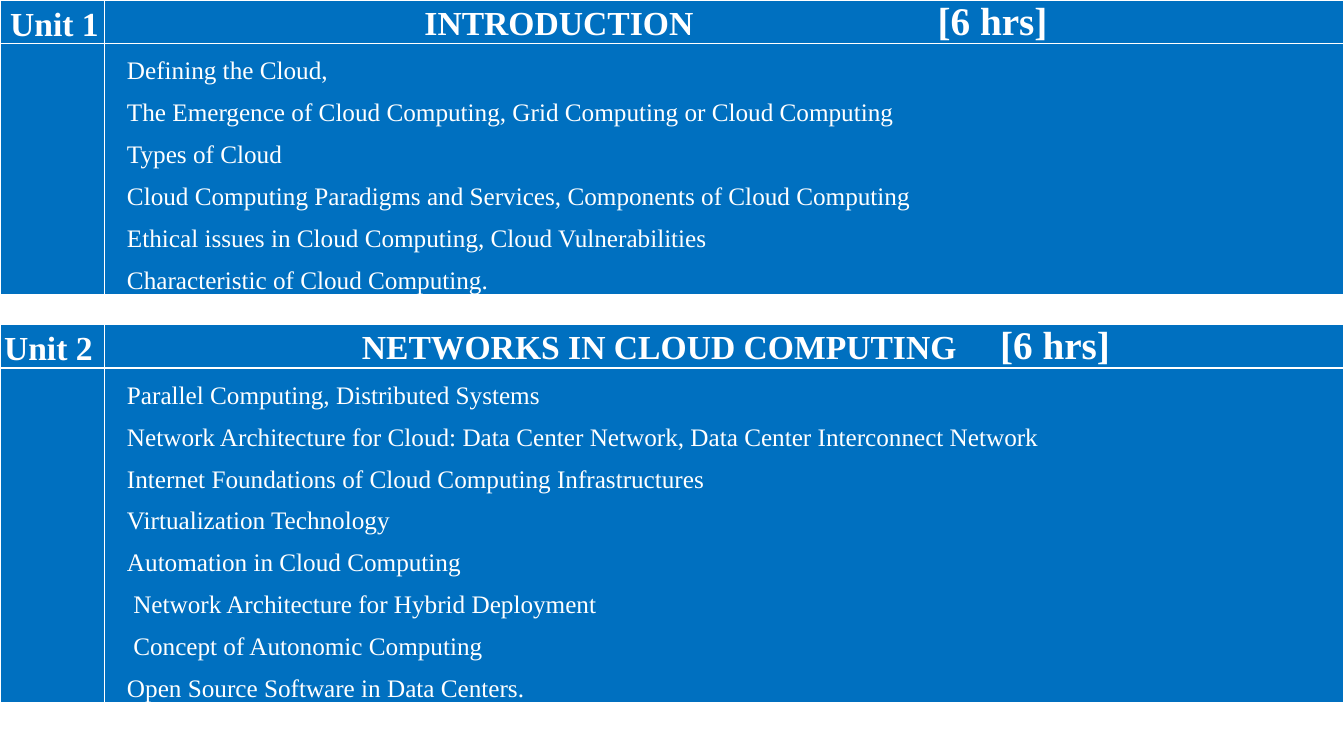
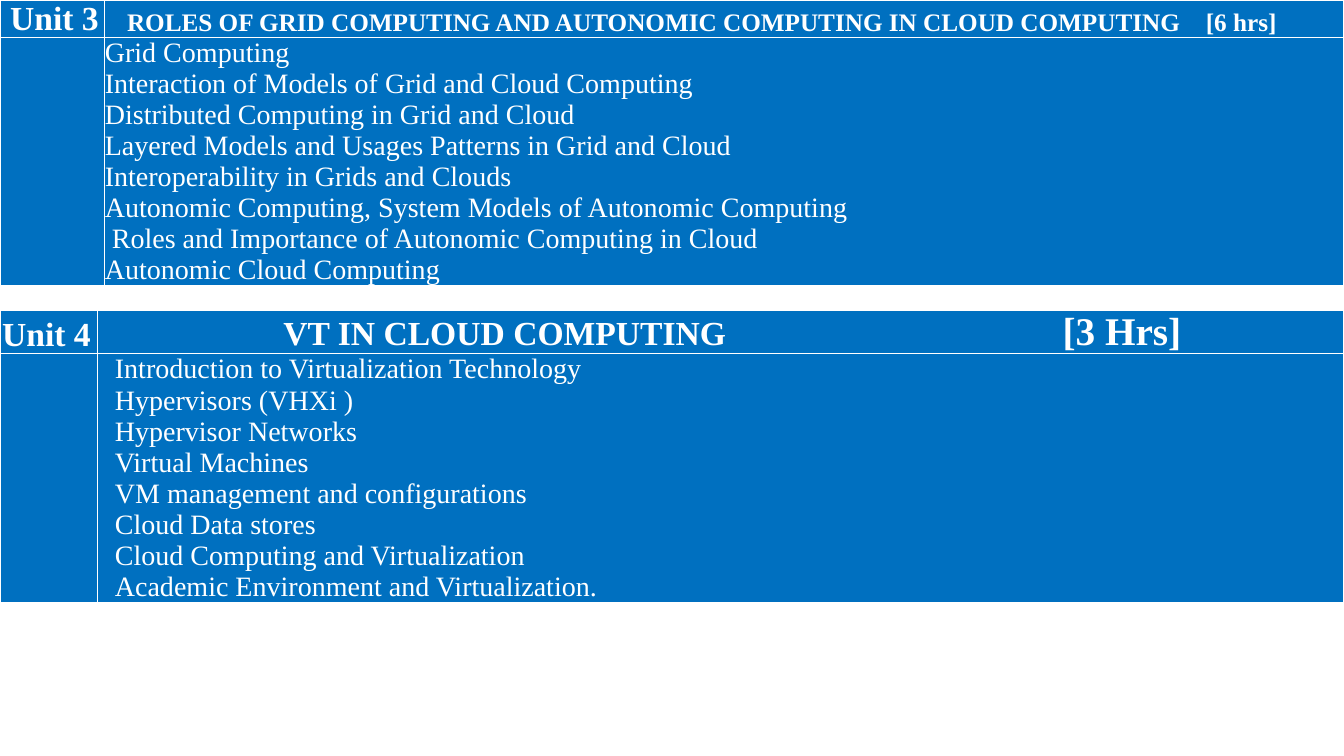
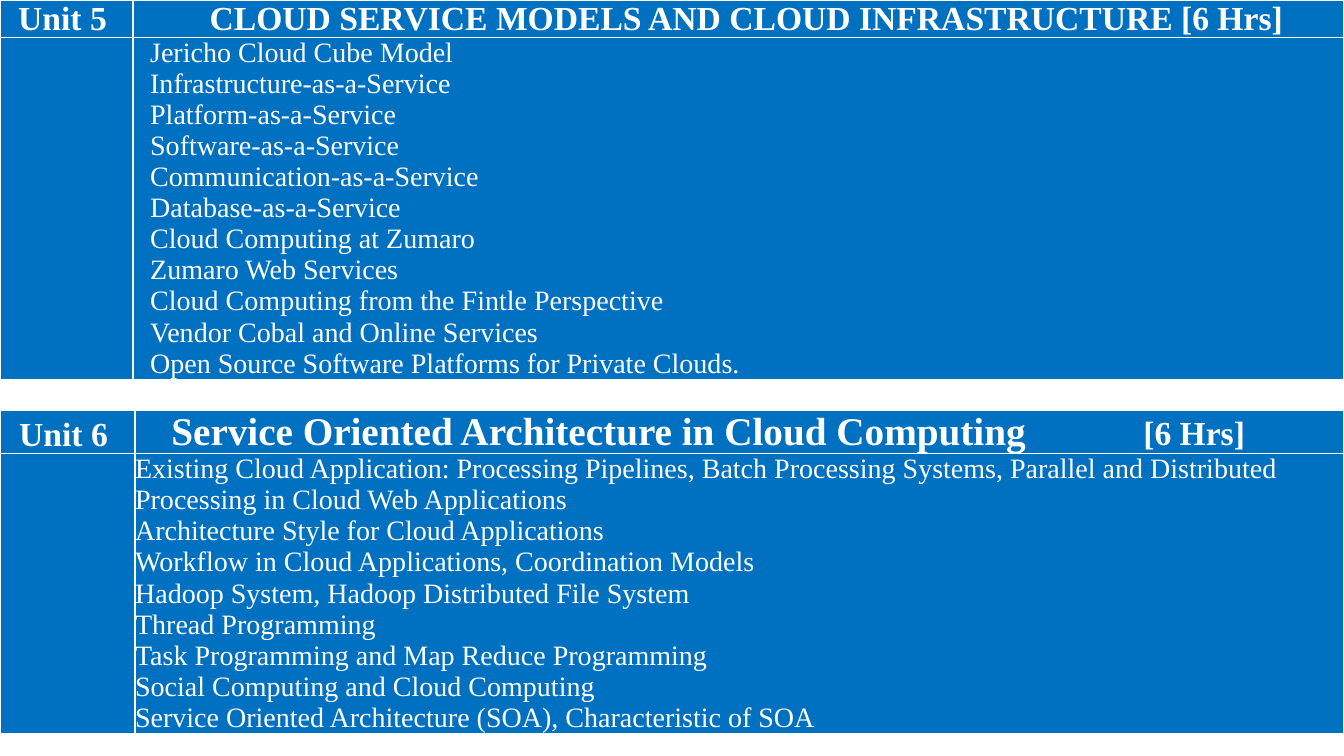
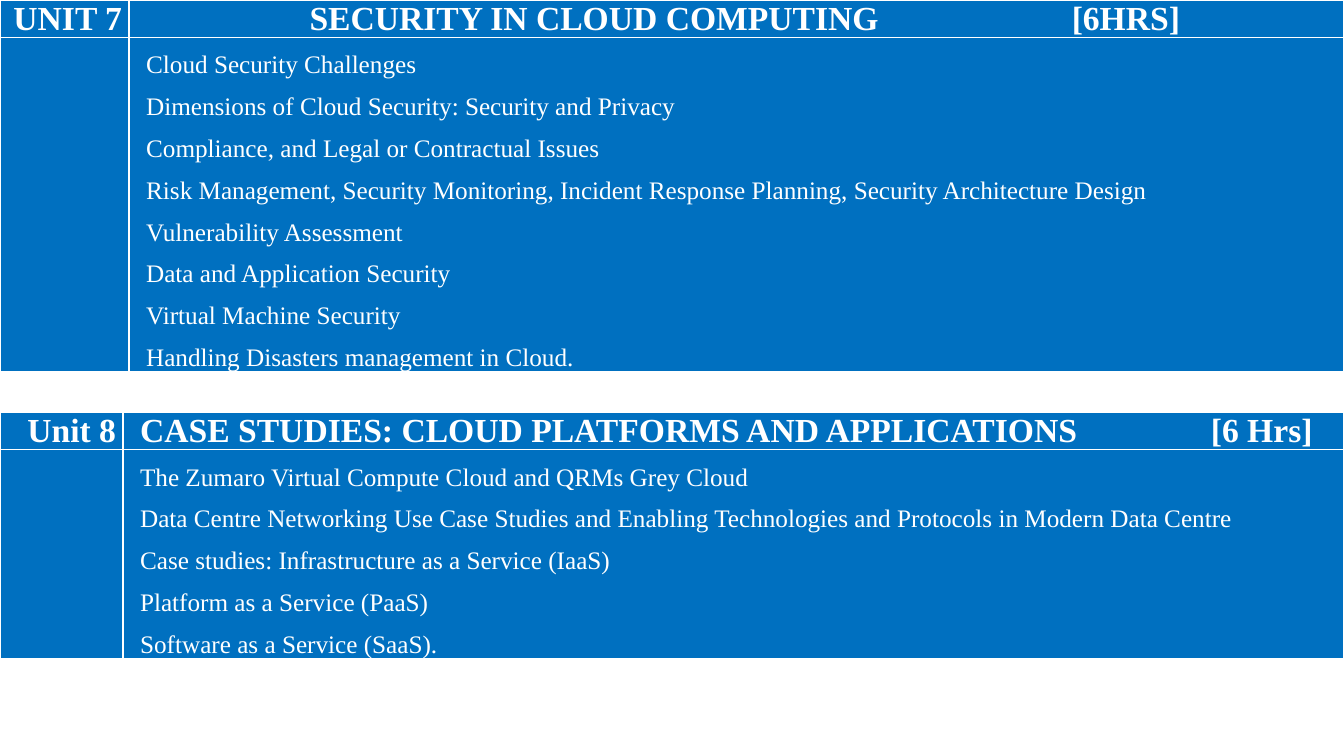
from lxml.etree import SubElement
from pptx import Presentation
from pptx.dml.color import RGBColor as RGB
from pptx.enum.text import MSO_ANCHOR as ANCHOR, PP_ALIGN as ALIGN
from pptx.oxml.ns import qn
from pptx.util import Inches, Pt

HUES = {"fill": "0070C0", "text": "FFFFFF", "edge": "FFFFFF"}
FACE = "Times New Roman"
WIDE = 13.33
MID = {"alignment": ALIGN.CENTER}
END = {"alignment": ALIGN.RIGHT}
LEFT = {"alignment": ALIGN.LEFT}

UNITS = [
    {"slide": 0, "top": 0, "col": 1.04, "name": "Unit 1", "side": MID, "pad": (0.04, 0),
     "head": [("INTRODUCTION", 24, 3.17), ("[6 hrs]", 28, 8.26)],
     "size": 18, "dent": 0.22, "items": [
        "Defining the Cloud,",
        "The Emergence of Cloud Computing, Grid Computing or Cloud Computing",
        "Types of Cloud",
        "Cloud Computing Paradigms and Services, Components of Cloud Computing",
        "Ethical issues in Cloud Computing, Cloud Vulnerabilities",
        "Characteristic of Cloud Computing."]},
    {"slide": 0, "top": 3.22, "col": 1.04, "name": "Unit 2", "side": LEFT, "pad": (0.04, 0),
     "head": [("NETWORKS IN CLOUD COMPUTING", 24, 2.55), ("[6 hrs]", 28, 8.88)],
     "size": 18, "dent": 0.22, "items": [
        "Parallel Computing, Distributed Systems",
        "Network Architecture for Cloud: Data Center Network, Data Center Interconnect Network",
        "Internet Foundations of Cloud Computing Infrastructures",
        "Virtualization Technology",
        "Automation in Cloud Computing",
        " Network Architecture for Hybrid Deployment",
        " Concept of Autonomic Computing",
        "Open Source Software in Data Centers."]},
    {"slide": 1, "top": 0, "col": 1.04, "name": "Unit 3", "side": MID, "pad": (0.04, 0),
     "head": [("ROLES OF GRID COMPUTING AND AUTONOMIC COMPUTING IN CLOUD COMPUTING", 18, 0.22),
              ("[6 hrs]", 18, 10.92)],
     "size": 20, "dent": 0, "items": [
        "Grid Computing",
        "Interaction of Models of Grid and Cloud Computing",
        "Distributed Computing in Grid and Cloud",
        "Layered Models and Usages Patterns in Grid and Cloud",
        "Interoperability in Grids and Clouds",
        "Autonomic Computing, System Models of Autonomic Computing",
        " Roles and Importance of Autonomic Computing in Cloud",
        "Autonomic Cloud Computing"]},
    {"slide": 1, "top": 3.08, "col": 0.97, "name": "Unit 4", "side": END, "pad": (0, 0.07),
     "head": [("VT IN CLOUD COMPUTING", 24, 1.84), ("[3 Hrs]", 28, 9.57)],
     "size": 20, "dent": 0.17, "items": [
        "Introduction to Virtualization Technology",
        "Hypervisors (VHXi )",
        "Hypervisor Networks",
        "Virtual Machines",
        "VM management and configurations",
        "Cloud Data stores",
        "Cloud Computing and Virtualization",
        "Academic Environment and Virtualization."]},
    {"slide": 2, "top": 0, "col": 1.32, "name": "Unit 5", "side": MID, "pad": (0, 0.08),
     "head": [("CLOUD SERVICE MODELS AND CLOUD INFRASTRUCTURE [6 Hrs]", 24, 0.76)],
     "size": 20, "dent": 0.17, "items": [
        "Jericho Cloud Cube Model",
        "Infrastructure-as-a-Service",
        "Platform-as-a-Service",
        "Software-as-a-Service",
        "Communication-as-a-Service",
        "Database-as-a-Service",
        "Cloud Computing at Zumaro",
        "Zumaro Web Services",
        "Cloud Computing from the Fintle Perspective",
        "Vendor Cobal and Online Services",
        "Open Source Software Platforms for Private Clouds."]},
    {"slide": 2, "top": 4.07, "col": 1.34, "name": "Unit 6", "side": MID, "pad": (0, 0.08),
     "head": [("Service Oriented Architecture in Cloud Computing", 28, 0.36), ("[6 Hrs]", 24, 10)],
     "size": 20, "dent": 0, "items": [
        "Existing Cloud Application: Processing Pipelines, Batch Processing Systems, "
        "Parallel and Distributed Processing in Cloud Web Applications",
        "Architecture Style for Cloud Applications",
        "Workflow in Cloud Applications, Coordination Models",
        "Hadoop System, Hadoop Distributed File System",
        "Thread Programming",
        "Task Programming and Map Reduce Programming",
        "Social Computing and Cloud Computing",
        "Service Oriented Architecture (SOA), Characteristic of SOA"]},
    {"slide": 3, "top": 0, "col": 1.28, "name": "UNIT 7", "side": END, "pad": (0, 0.07),
     "head": [("SECURITY IN CLOUD COMPUTING", 24, 1.79), ("[6HRS]", 24, 9.35)],
     "size": 18, "dent": 0.17, "items": [
        "Cloud Security Challenges",
        "Dimensions of Cloud Security: Security and Privacy",
        "Compliance, and Legal or Contractual Issues",
        "Risk Management, Security Monitoring, Incident Response Planning, "
        "Security Architecture Design",
        "Vulnerability Assessment",
        "Data and Application Security",
        "Virtual Machine Security",
        "Handling Disasters management in Cloud."]},
    {"slide": 3, "top": 4.09, "col": 1.22, "name": "Unit 8", "side": END, "pad": (0, 0.07),
     "head": [("CASE STUDIES: CLOUD PLATFORMS AND APPLICATIONS", 24, 0.17), ("[6 Hrs]", 24, 10.79)],
     "size": 18, "dent": 0.17, "items": [
        "The Zumaro Virtual Compute Cloud and QRMs Grey Cloud",
        "Data Centre Networking Use Case Studies and Enabling Technologies "
        "and Protocols in Modern Data Centre",
        "Case studies: Infrastructure as a Service (IaaS)",
        "Platform as a Service (PaaS)",
        "Software as a Service (SaaS)."]},
]


def write(para, text, size, bold):
    run = para.add_run()
    run.text = text
    for key, val in {"name": FACE, "size": Pt(size), "bold": bold}.items():
        setattr(run.font, key, val)
    run.font.color.rgb = RGB.from_string(HUES["text"])


def dress(cell, left=0, right=0):
    look = {"margin_left": Inches(left), "margin_right": Inches(right), "margin_top": 0,
            "margin_bottom": 0, "vertical_anchor": ANCHOR.BOTTOM}
    for key, val in look.items():
        setattr(cell, key, val)
    props = cell._tc.get_or_add_tcPr()
    for edge in ("lnL", "lnR", "lnT", "lnB"):
        line = SubElement(props, qn(f"a:{edge}"), w=str(Pt(1)))
        fill = SubElement(line, qn("a:solidFill"))
        SubElement(fill, qn("a:srgbClr"), val=HUES["edge"])
    cell.fill.solid()
    cell.fill.fore_color.rgb = RGB.from_string(HUES["fill"])


deck = Presentation()
deck.slide_width, deck.slide_height = Inches(WIDE), Inches(7.5)
slides = [deck.slides.add_slide(deck.slide_layouts[6]) for _ in range(4)]

for unit in UNITS:
    size, items = unit["size"], unit["items"]
    loose = size == 18
    tall = 0.43 if any(pts == 28 for _, pts, _ in unit["head"]) else 0.37
    deep = len(items) * (0.41 if loose else 0.3)
    frame = slides[unit["slide"]].shapes.add_table(
        2, 2, 0, Inches(unit["top"]), Inches(WIDE), Inches(tall + deep))
    grid = frame.table
    grid.first_row = grid.horz_banding = False
    for col, width in zip(grid.columns, (unit["col"], WIDE - unit["col"])):
        col.width = Inches(width)
    for row, height in zip(grid.rows, (tall, deep)):
        row.height = Inches(height)

    name, head, blank, body = grid.iter_cells()
    dress(name, *unit["pad"])
    dress(head)
    dress(blank)
    dress(body, unit["dent"])

    para = name.text_frame.paragraphs[0]
    for key, val in unit["side"].items():
        setattr(para, key, val)
    write(para, unit["name"], 24, True)

    para = head.text_frame.paragraphs[0]
    stops = SubElement(para._p.get_or_add_pPr(), qn("a:tabLst"))
    for text, pts, spot in unit["head"]:
        SubElement(stops, qn("a:tab"), pos=str(Inches(spot)), algn="l")
        write(para, "\t" + text, pts, True)

    for num, text in enumerate(items):
        para = body.text_frame.add_paragraph() if num else body.text_frame.paragraphs[0]
        if loose:
            para.line_spacing = 1.5
        write(para, text, size, False)

deck.save("out.pptx")
